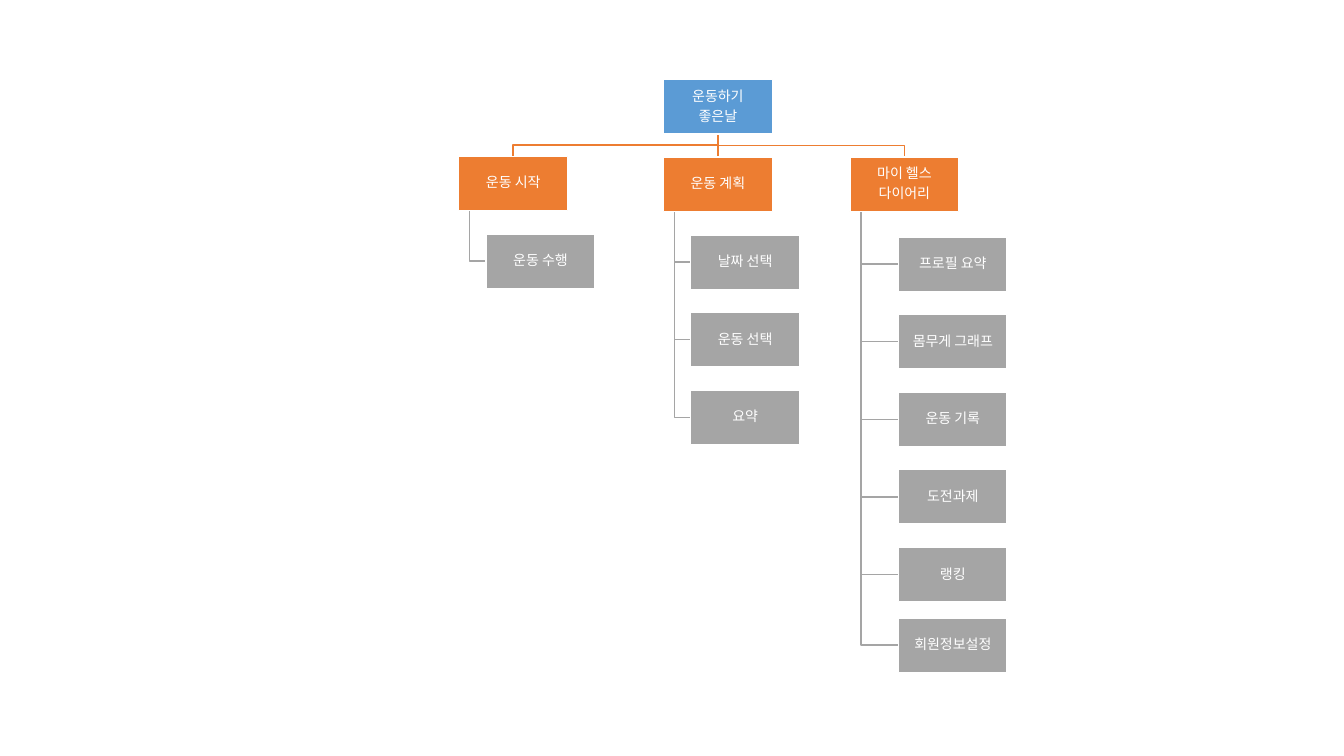
from dataclasses import dataclass

from lxml import etree
from pptx import Presentation
from pptx.dml.color import RGBColor
from pptx.enum.shapes import MSO_CONNECTOR, MSO_SHAPE
from pptx.enum.text import MSO_ANCHOR, PP_ALIGN
from pptx.oxml.ns import qn
from pptx.util import Inches, Pt

RECT = MSO_SHAPE.RECTANGLE
STRAIGHT = MSO_CONNECTOR.STRAIGHT
MIDDLE = MSO_ANCHOR.MIDDLE
CENTER = PP_ALIGN.CENTER


@dataclass(frozen=True)
class Theme:
    root: str = "5B9BD5"
    branch: str = "ED7D31"
    leaf: str = "A5A5A5"
    white: str = "FFFFFF"
    font: str = "Noto Sans CJK KR"
    size: float = 10
    line: float = 1


THEME = Theme()

# Grid in inches: box size, row step and inset of the trunk under a branch
WIDE, HIGH = 1.08, 0.54
STEP = 0.77
STUB = WIDE / 10
ROOT = (6.58, 0.79, "운동하기\n좋은날")

# Branch: left, top, label, indent of its leaves, top of first leaf, leaves
TREE = [
    (4.55, 1.55, "운동 시작", 0.27, 2.32, ["운동 수행"]),
    (6.58, 1.56, "운동 계획", 0.27, 2.33, ["날짜 선택", "운동 선택", "요약"]),
    (8.43, 1.56, "마이 헬스\n다이어리", 0.48, 2.35,
     ["프로필 요약", "몸무게 그래프", "운동 기록", "도전과제", "랭킹",
      "회원정보설정"]),
]
# The sixth row sits a little closer to the fifth
ROWS = [STEP * row for row in range(5)] + [STEP * 5 - 0.07]


def apply(item, **values):
    for name, value in values.items():
        setattr(item, name, value)


def paint(line, color):
    line.color.rgb = RGBColor.from_string(color)
    line.width = Pt(THEME.line)


def gap_after(para, share):
    """Set the space after a paragraph as a percentage of its line."""
    para.space_after = Pt(0)
    after = para._p.pPr.find(qn("a:spcAft"))
    after.clear()
    etree.SubElement(after, qn("a:spcPct"), val=str(share * 1000))


def add_box(slide, left, top, label, color):
    box = slide.shapes.add_shape(
        RECT, *[Inches(n) for n in (left, top, WIDE, HIGH)])
    box.shadow.inherit = False
    box.fill.solid()
    box.fill.fore_color.rgb = RGBColor.from_string(color)
    paint(box.line, THEME.white)
    frame = box.text_frame
    edge = Inches(0.01)
    apply(frame, text=label, word_wrap=True, vertical_anchor=MIDDLE,
          margin_left=edge, margin_right=edge,
          margin_top=edge, margin_bottom=edge)
    for para in frame.paragraphs:
        apply(para, alignment=CENTER, line_spacing=0.9)
        gap_after(para, 35)
        for run in para.runs:
            apply(run.font, name=THEME.font, size=Pt(THEME.size))
            run.font.color.rgb = RGBColor.from_string(THEME.white)
            # East Asian text takes the same font
            etree.SubElement(run.font._element, qn("a:ea"),
                             typeface=THEME.font)


def add_wire(slide, points, color):
    """Join the points with a line, bent where there are more than two."""
    spots = [(Inches(x), Inches(y)) for x, y in points]
    if len(spots) == 2:
        wire = slide.shapes.add_connector(STRAIGHT, *spots[0], *spots[1])
        etree.SubElement(wire._element.spPr, qn("a:effectLst"))
    else:
        path = slide.shapes.build_freeform(*spots[0])
        path.add_line_segments(spots[1:], close=False)
        wire = path.convert_to_shape()
        wire.shadow.inherit = False
        wire.fill.background()
    paint(wire.line, color)


def add_wires(slide, left, top, indent, first, leaves):
    # From the root down to the branch
    start, end = ROOT[0] + WIDE / 2, left + WIDE / 2
    base = ROOT[1] + HIGH
    bar = (base + top) / 2
    bend = [] if start == end else [(start, bar), (end, bar)]
    add_wire(slide, [(start, base), *bend, (end, top)], THEME.branch)

    # From the branch to each leaf
    trunk = left + STUB
    for row, _ in zip(ROWS, leaves):
        mid = first + row + HIGH / 2
        points = [(trunk, top + HIGH), (trunk, mid), (left + indent, mid)]
        add_wire(slide, points, THEME.leaf)


def main():
    deck = Presentation()
    apply(deck, slide_width=Inches(13.33), slide_height=Inches(7.5))
    slide = deck.slides.add_slide(deck.slide_layouts[6])

    # Lines lie behind the boxes
    for left, top, _, indent, first, leaves in TREE:
        add_wires(slide, left, top, indent, first, leaves)

    # Boxes
    add_box(slide, *ROOT, THEME.root)
    for left, top, label, indent, first, leaves in TREE:
        add_box(slide, left, top, label, THEME.branch)
        for row, leaf in zip(ROWS, leaves):
            add_box(slide, left + indent, first + row, leaf, THEME.leaf)

    deck.save("out.pptx")


if __name__ == "__main__":
    main()
